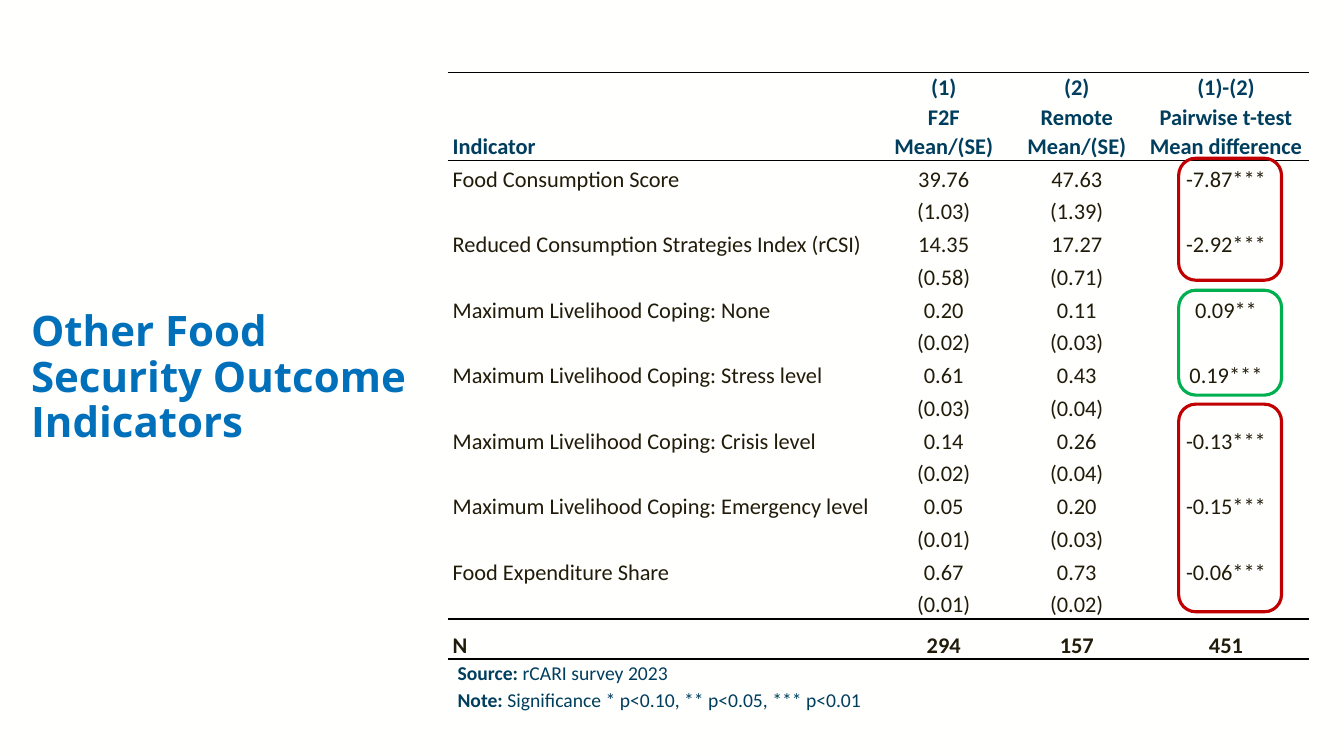
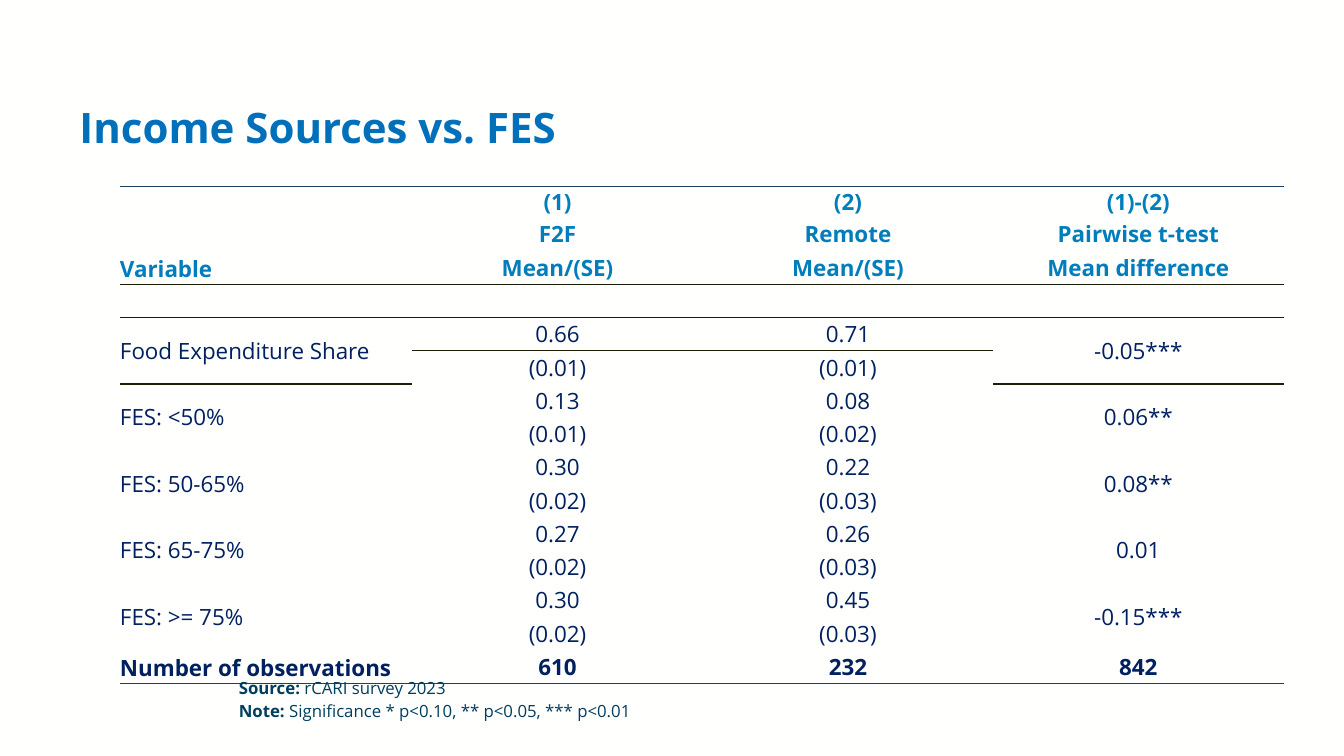
"""Build two slides comparing face-to-face and remote survey indicators."""
from dataclasses import dataclass
from typing import NamedTuple

from lxml.etree import SubElement
from pptx import Presentation
from pptx.dml.color import RGBColor
from pptx.enum.shapes import MSO_SHAPE
from pptx.enum.text import MSO_ANCHOR, PP_ALIGN
from pptx.oxml.ns import qn
from pptx.util import Inches, Pt

PAPER = "FFFFFE"
TITLE_BLUE = "0070BA"
HEADER_BLUE = "007DBC"
DEEP_BLUE = "003E5E"
NAVY = "002060"
SLATE = "1A4161"
INK = "211B09"
BLACK = "000000"
RED = "C00000"
GREEN = "00B050"
PLAIN_TABLE_STYLE = "{2D5ABB26-0587-4C30-8999-92F81FD0307C}"
FOOTNOTES = (
    ("Source:", " rCARI survey 2023"),
    ("Note:", " Significance * p<0.10, ** p<0.05, *** p<0.01"),
)


class Box(NamedTuple):
    left: float
    top: float
    width: float
    height: float


class Measure(NamedTuple):
    label: str
    f2f: str
    f2f_error: str
    remote: str
    remote_error: str
    difference: str


class Rule(NamedTuple):
    row: int
    side: str
    color: str


class Highlight(NamedTuple):
    box: Box
    color: str


@dataclass
class ResultsTable:
    left: float
    top: float
    columns: list[float]
    row_heights: list[float]
    rows: list[list[str]]
    rules: list[Rule]
    rule_width: float
    font: str
    header_rows: int
    header_color: str
    body_color: str
    header_anchor: MSO_ANCHOR
    body_anchor: MSO_ANCHOR
    side_inset: float = 0
    line_spacing: float = 1.0


INDICATORS = [
    Measure("Food Consumption Score", "39.76", "(1.03)", "47.63", "(1.39)", "-7.87***"),
    Measure("Reduced Consumption Strategies Index (rCSI)", "14.35", "(0.58)", "17.27", "(0.71)", "-2.92***"),
    Measure("Maximum Livelihood Coping: None", "0.20", "(0.02)", "0.11", "(0.03)", "0.09**"),
    Measure("Maximum Livelihood Coping: Stress level", "0.61", "(0.03)", "0.43", "(0.04)", "0.19***"),
    Measure("Maximum Livelihood Coping: Crisis level", "0.14", "(0.02)", "0.26", "(0.04)", "-0.13***"),
    Measure("Maximum Livelihood Coping: Emergency level", "0.05", "(0.01)", "0.20", "(0.03)", "-0.15***"),
    Measure("Food Expenditure Share", "0.67", "(0.01)", "0.73", "(0.02)", "-0.06***"),
]
EXPENDITURE_SHARES = [
    Measure("Food Expenditure Share", "0.66", "(0.01)", "0.71", "(0.01)", "-0.05***"),
    Measure("FES: <50%", "0.13", "(0.01)", "0.08", "(0.02)", "0.06**"),
    Measure("FES: 50-65%", "0.30", "(0.02)", "0.22", "(0.03)", "0.08**"),
    Measure("FES: 65-75%", "0.27", "(0.02)", "0.26", "(0.03)", "0.01"),
    Measure("FES: >= 75%", "0.30", "(0.02)", "0.45", "(0.03)", "-0.15***"),
]
HIGHLIGHTS = [
    Highlight(Box(11.69, 4.01, 1.02, 2.06), RED),
    Highlight(Box(11.69, 1.57, 1.02, 1.21), RED),
    Highlight(Box(11.69, 2.88, 1.02, 1.04), GREEN),
]


def rgb(color: str) -> RGBColor:
    return RGBColor.from_string(color)


def style_run(run, font: str, size: float, color: str, bold: bool) -> None:
    run.font.name = font
    run.font.size = Pt(size)
    run.font.color.rgb = rgb(color)
    run.font.bold = bold


def add_slide(deck):
    slide = deck.slides.add_slide(deck.slide_layouts[6])
    slide.background.fill.solid()
    slide.background.fill.fore_color.rgb = rgb(PAPER)
    return slide


def add_text_frame(slide, box: Box):
    frame = slide.shapes.add_textbox(*map(Inches, box)).text_frame
    frame.word_wrap = True
    return frame


def add_title(slide, title: str, box: Box) -> None:
    frame = add_text_frame(slide, box)
    frame.vertical_anchor = MSO_ANCHOR.MIDDLE
    frame.text = title
    heading = frame.paragraphs[0]
    heading.line_spacing = 0.9
    style_run(heading.runs[0], "Open Sans", 30, TITLE_BLUE, True)


def add_footnotes(slide, box: Box, font: str, size: float) -> None:
    frame = add_text_frame(slide, box)
    frame.text = "\n".join(lead for lead, _ in FOOTNOTES)
    for paragraph, (_, detail) in zip(frame.paragraphs, FOOTNOTES):
        paragraph.alignment = PP_ALIGN.JUSTIFY
        paragraph.line_spacing = 1.15
        style_run(paragraph.runs[0], font, size, DEEP_BLUE, True)
        explanation = paragraph.add_run()
        explanation.text = detail
        style_run(explanation, font, size, DEEP_BLUE, False)


def paired_rows(measures: list[Measure]) -> list[list[str]]:
    rows = []
    for m in measures:
        rows.append([m.label, m.f2f, m.remote, m.difference])
        rows.append(["", m.f2f_error, m.remote_error, ""])
    return rows


def add_border(cell, side: str, color: str, width: float) -> None:
    border = SubElement(cell._tc.get_or_add_tcPr(), qn(f"a:ln{side}"), w=str(Pt(width)))
    SubElement(SubElement(border, qn("a:solidFill")), qn("a:srgbClr"), val=color)


def fill_cell(cell, results: ResultsTable, row: int, column: int) -> None:
    is_header = row < results.header_rows
    is_total = row == len(results.rows) - 1
    cell.margin_left = cell.margin_right = Inches(results.side_inset)
    cell.margin_top = cell.margin_bottom = 0
    if column == 0 and (is_header or is_total):
        cell.vertical_anchor = MSO_ANCHOR.BOTTOM
    else:
        cell.vertical_anchor = results.header_anchor if is_header else results.body_anchor
    cell.fill.background()
    cell.text_frame.text = results.rows[row][column]
    color = results.header_color if is_header else results.body_color
    for paragraph in cell.text_frame.paragraphs:
        paragraph.alignment = PP_ALIGN.CENTER if column else PP_ALIGN.LEFT
        paragraph.line_spacing = results.line_spacing
        for run in paragraph.runs:
            style_run(run, results.font, 16, color, is_header or is_total)


def add_results(slide, results: ResultsTable):
    frame = slide.shapes.add_table(
        len(results.rows), len(results.columns), Inches(results.left), Inches(results.top),
        Inches(sum(results.columns)), Inches(sum(results.row_heights)))
    table = frame.table
    table.first_row = table.horz_banding = False
    table._tbl.tblPr.find(qn("a:tableStyleId")).text = PLAIN_TABLE_STYLE
    for column, width in zip(table.columns, results.columns):
        column.width = Inches(width)
    for row, height in zip(table.rows, results.row_heights):
        row.height = Inches(height)
    for rule in results.rules:
        for cell in table.rows[rule.row].cells:
            add_border(cell, rule.side, rule.color, results.rule_width)
    for row in range(len(results.rows)):
        for column in range(len(results.columns)):
            fill_cell(table.cell(row, column), results, row, column)
    return table


def add_highlight(slide, highlight: Highlight) -> None:
    outline = slide.shapes.add_shape(MSO_SHAPE.ROUNDED_RECTANGLE, *map(Inches, highlight.box))
    outline.shadow.inherit = False
    outline.fill.background()
    outline.line.color.rgb = rgb(highlight.color)
    outline.line.width = Pt(2.25)


def add_indicators_slide(deck) -> None:
    slide = add_slide(deck)
    header = ["Indicator", "(1)\nF2F\nMean/(SE)", "(2)\nRemote\nMean/(SE)",
              "(1)-(2)\nPairwise t-test\nMean difference"]
    body = paired_rows(INDICATORS)
    add_results(slide, ResultsTable(
        left=4.44, top=0.72, columns=[4.26, 1.32, 1.32, 1.64],
        row_heights=[0.87, *[4.55 / len(body)] * len(body), 0.4],
        rows=[header, *body, ["N", "294", "157", "451"]],
        rules=[Rule(0, "T", BLACK), *(Rule(row, "B", BLACK) for row in (0, 14, 15))],
        rule_width=1.5, font="Calibri", header_rows=1,
        header_color=DEEP_BLUE, body_color=INK,
        header_anchor=MSO_ANCHOR.TOP, body_anchor=MSO_ANCHOR.BOTTOM,
        side_inset=0.05, line_spacing=1.07))
    for highlight in HIGHLIGHTS:
        add_highlight(slide, highlight)
    add_title(slide, "Other Food Security Outcome Indicators", Box(0.21, 2.47, 4.11, 2.57))
    add_footnotes(slide, Box(4.44, 6.47, 6.67, 0.63), "Calibri", 14)


def add_income_slide(deck) -> None:
    slide = add_slide(deck)
    add_title(slide, "Income Sources vs. FES", Box(0.69, 0.58, 12.04, 1.41))
    header = [
        ["", "(1)", "(2)", "(1)-(2)"],
        ["", "F2F", "Remote", "Pairwise t-test"],
        ["Variable", "Mean/(SE)", "Mean/(SE)", "Mean difference"],
    ]
    body = paired_rows(EXPENDITURE_SHARES)
    first_share = len(header) + 1
    total = first_share + len(body)
    table = add_results(slide, ResultsTable(
        left=1.19, top=1.85, columns=[2.9, 2.88, 2.88, 2.88],
        row_heights=[0.31, *[0.33] * total],
        rows=[*header, [""] * 4, *body, ["Number of observations", "610", "232", "842"]],
        rules=[Rule(0, "T", SLATE), *(Rule(row, "B", INK) for row in (2, 3, 4)),
               Rule(total, "B", SLATE)],
        rule_width=1, font="Open Sans", header_rows=len(header),
        header_color=HEADER_BLUE, body_color=NAVY,
        header_anchor=MSO_ANCHOR.MIDDLE, body_anchor=MSO_ANCHOR.MIDDLE))
    for row in range(first_share, total, 2):
        for column in (0, 3):
            table.cell(row, column).merge(table.cell(row + 1, column))
    add_footnotes(slide, Box(2.27, 6.64, 6.67, 0.55), "Open Sans", 12)


def main() -> None:
    deck = Presentation()
    deck.slide_width = Inches(13.33)
    deck.slide_height = Inches(7.5)
    add_indicators_slide(deck)
    add_income_slide(deck)
    deck.save("out.pptx")


if __name__ == "__main__":
    main()
